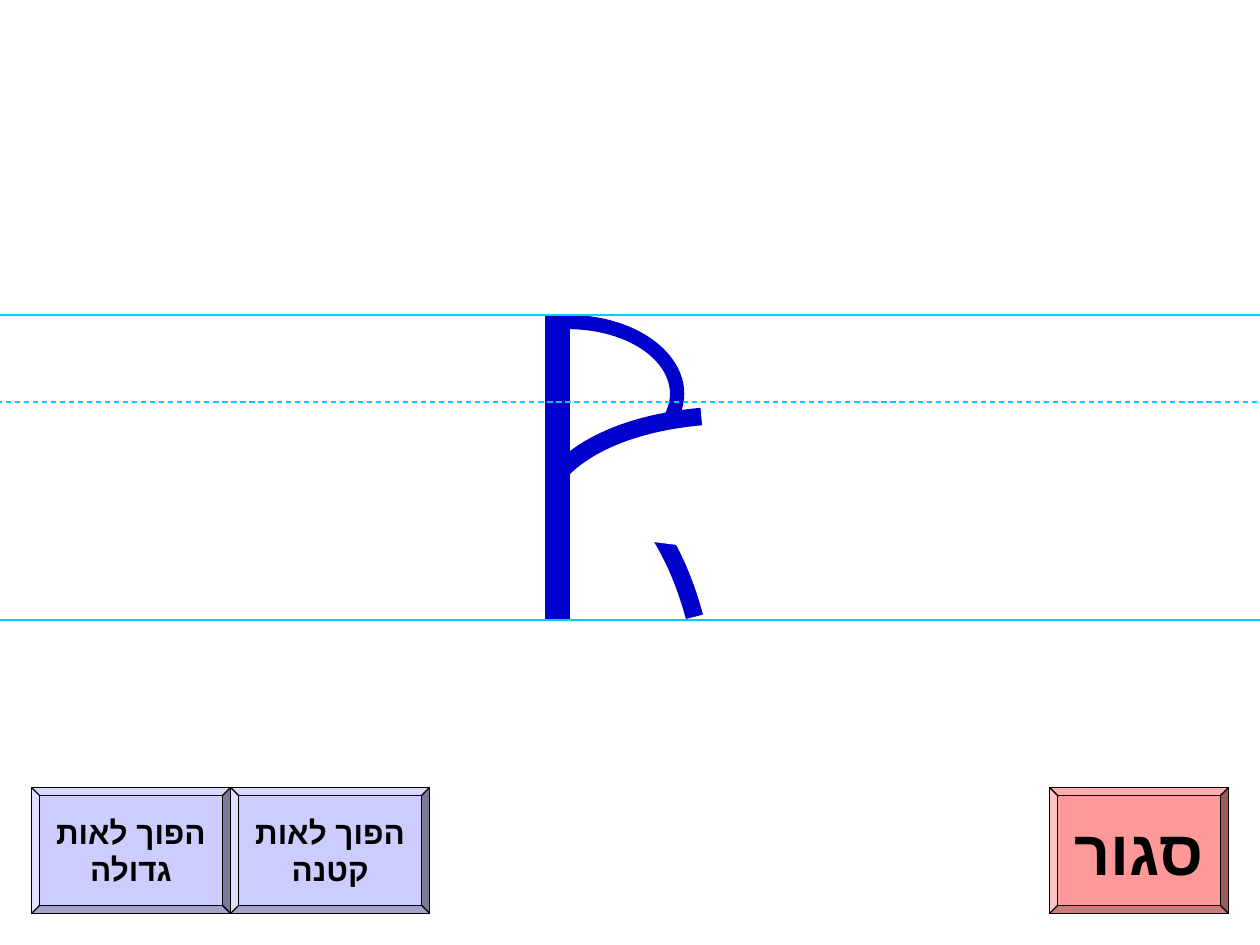
from lxml.etree import SubElement
from pptx import Presentation
from pptx.dml.color import RGBColor
from pptx.enum.dml import MSO_LINE
from pptx.enum.shapes import MSO_CONNECTOR, MSO_SHAPE
from pptx.enum.text import MSO_ANCHOR, PP_ALIGN
from pptx.oxml.ns import qn
from pptx.util import Inches, Pt

COLORS = {
    "ink": "0000CC", "paper": "FFFFFF", "guide": "00CCFF",
    "close": "FF9999", "switch": "CCCCFF", "black": "000000",
}
DEGREE = 0.6  # one degree in adjustment units

prs = Presentation()
prs.slide_width, prs.slide_height = Inches(10), Inches(7.5)
slide = prs.slides.add_slide(prs.slide_layouts[6])


def add_part(preset, box, fill, line, weight=0.75, rotation=0, adjustments=()):
    part = slide.shapes.add_shape(preset, *map(Inches, box))
    part.shadow.inherit = False
    part.rotation = rotation
    for index, value in enumerate(adjustments):
        part.adjustments[index] = value
    part.fill.solid()
    part.fill.fore_color.rgb = RGBColor.from_string(COLORS[fill])
    part.line.color.rgb = RGBColor.from_string(COLORS[line])
    part.line.width = Pt(weight)
    return part


def add_guide(left, right, y, dash=None):
    guide = slide.shapes.add_connector(
        MSO_CONNECTOR.STRAIGHT, Inches(left), Inches(y), Inches(right), Inches(y))
    guide.line.color.rgb = RGBColor.from_string(COLORS["guide"])
    guide.line.width = Pt(0.75)
    guide.line.dash_style = dash
    SubElement(guide._element.spPr, qn("a:effectLst"))


# Letter: leg, bowl, crossbar
stroke = {"fill": "paper", "line": "ink", "weight": 10,
          "adjustments": (267.2 * DEGREE, 316.5 * DEGREE)}
for _ in range(2):
    add_part(MSO_SHAPE.ARC, (3.41, 3.75, 2.22, 4.17), **stroke)
add_part(MSO_SHAPE.BLOCK_ARC, (3.89, 2.21, 1.24, 1.83), "ink", "ink", rotation=90,
         adjustments=(177.03 * DEGREE, 2.97 * DEGREE, 0.083))
add_part(MSO_SHAPE.ARC, (5.21, 2.36, 2.22, 4.17), rotation=280, **stroke)

# Letter: mask left of the stem, then the stem
add_part(MSO_SHAPE.RECTANGLE, (3.5, 2.42, 0.83, 2.58), "paper", "paper")
add_part(MSO_SHAPE.RECTANGLE, (4.33, 2.5, 0.19, 2.42), "ink", "ink")

# Buttons
buttons = [
    (8.33, 1.42, "close", 36, ["סגור"]),
    (0.25, 1.58, "switch", 18, ["הפוך לאות", "גדולה"]),
    (1.83, 1.58, "switch", 18, ["הפוך לאות", "קטנה"]),
]
for left, width, fill, size, label in buttons:
    button = add_part(MSO_SHAPE.BEVEL, (left, 6.25, width, 1), fill, "black",
                      adjustments=(0.0625,))
    frame = button.text_frame
    frame.word_wrap = False
    frame.vertical_anchor = MSO_ANCHOR.MIDDLE
    frame.text = "\n".join(label)
    for paragraph in frame.paragraphs:
        paragraph.alignment = PP_ALIGN.CENTER
        font = paragraph.runs[0].font
        for name, value in {"name": "Arial", "size": Pt(size), "bold": True}.items():
            setattr(font, name, value)
        font.color.rgb = RGBColor.from_string(COLORS["black"])
        SubElement(font._element, qn("a:cs"), typeface="Arial")

# Writing lines, with a mask below the baseline
add_guide(-0.17, 10.17, 3.19, MSO_LINE.DASH)
add_guide(-0.08, 10.25, 2.5)
add_part(MSO_SHAPE.RECTANGLE, (4.25, 4.92, 1.5, 2.58), "paper", "paper")
add_guide(-0.08, 10.25, 4.92)

prs.save("out.pptx")
